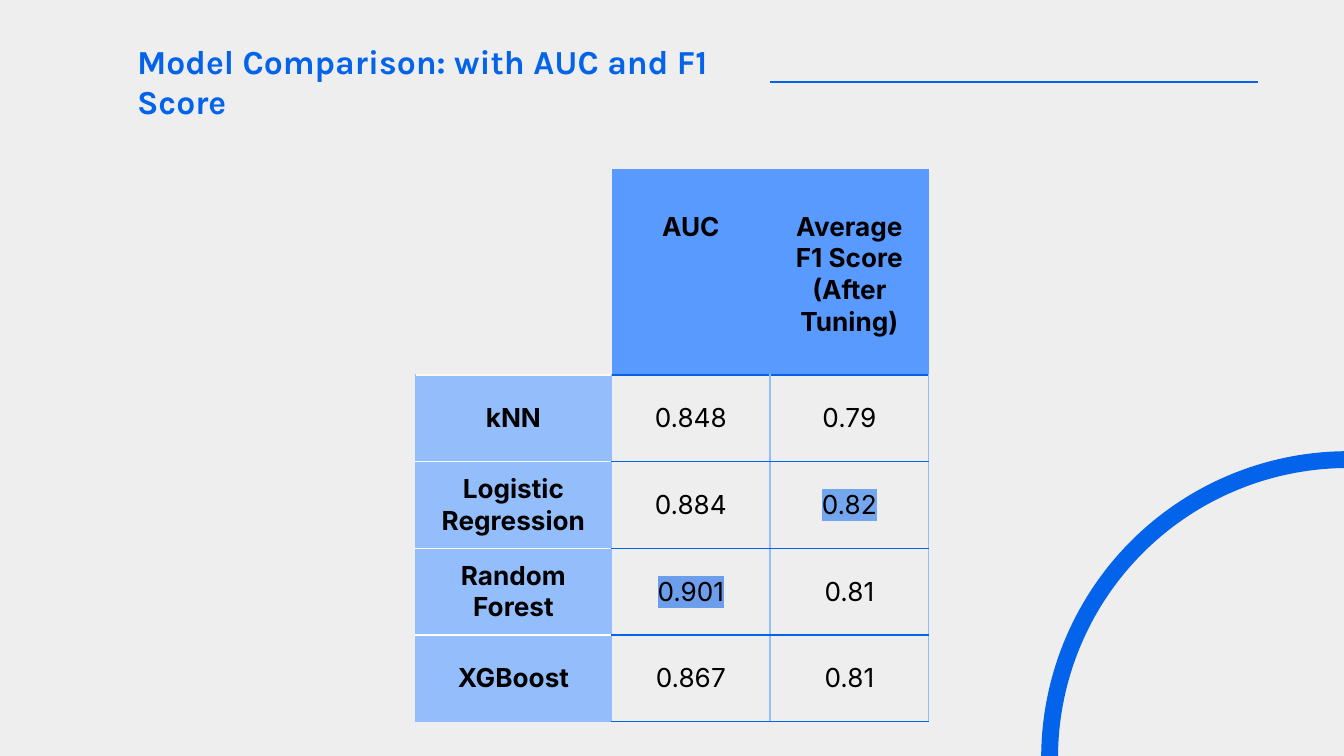
"""Build a slide that compares four models by AUC and F1 score."""
from lxml.etree import SubElement
from pptx import Presentation
from pptx.dml.color import RGBColor
from pptx.enum.shapes import MSO_CONNECTOR as Connector, MSO_SHAPE as Shape
from pptx.enum.text import MSO_ANCHOR as Anchor, MSO_AUTO_SIZE as AutoSize, PP_ALIGN as Align
from pptx.oxml import parse_xml
from pptx.oxml.ns import nsdecls, qn
from pptx.util import Inches, Pt

THEME = {
    "background": "EEEEEE", "accent": "0363EB", "text": "000000",
    "header": "589AFF", "label": "94BDFC", "cream": "FFFAEA", "white": "FFFFFF",
    "title_font": "Karla", "table_font": "Inter",
    "title_size": Pt(18), "table_size": Pt(14),
    "thin": Pt(0.75), "thick": Pt(9),
}
HEADERS = ["", "AUC", "Average F1 Score\n(After Tuning)"]
SCORES = [
    ("kNN", "0.848", "0.79"),
    ("Logistic Regression", "0.884", "0.82"),
    ("Random Forest", "0.901", "0.81"),
    ("XGBoost", "0.867", "0.81"),
]
BEST_SCORES = {"0.82": "74A6ED", "0.901": "6D9EEB"}
LABEL_EDGES = ["cream", "white", "cream", "white", "label"]
NO_STYLE = "{2D5ABB26-0587-4C30-8999-92F81FD0307C}"


def apply_format(target, values):
    """Set each attribute named in values."""
    for name, value in values.items():
        setattr(target, name, value)


def set_borders(cell, borders):
    """Draw the given cell sides, from {side: theme colour}."""
    properties = cell._tc.get_or_add_tcPr()
    sides = [side for side in "LRTB" if side in borders]
    for index, side in enumerate(sides):
        properties.insert(index, parse_xml(
            f'<a:ln{side} {nsdecls("a")} w="{THEME["thin"]}"><a:solidFill>'
            f'<a:srgbClr val="{THEME[borders[side]]}"/></a:solidFill></a:ln{side}>'))


presentation = Presentation()
apply_format(presentation, {"slide_width": Inches(10), "slide_height": Inches(10 * 9 / 16)})
slide = presentation.slides.add_slide(presentation.slide_layouts[5])
slide.background.fill.solid()
slide.background.fill.fore_color.rgb = RGBColor.from_string(THEME["background"])
accent = RGBColor.from_string(THEME["accent"])

arc = slide.shapes.add_shape(Shape.ARC, Inches(7.81), Inches(3.42), Inches(4.44), Inches(4.44))
arc.adjustments[0] = 180 * 0.6
arc.adjustments[1] = 18 * 0.6
arc.shadow.inherit = False
arc.fill.background()
arc.line.color.rgb = accent
arc.line.width = THEME["thick"]

title = slide.shapes.title
apply_format(title, {"left": Inches(0.77), "top": Inches(0.28),
                     "width": Inches(5.42), "height": Inches(0.65)})
title.text_frame.text = "Model Comparison: with AUC and F1 Score"
margins = {f"margin_{side}": Inches(0.25) for side in ("left", "top", "right", "bottom")}
apply_format(title.text_frame, {**margins, "word_wrap": True, "auto_size": AutoSize.NONE,
                                "vertical_anchor": Anchor.MIDDLE})
paragraph = title.text_frame.paragraphs[0]
paragraph.alignment = Align.LEFT
title_font = paragraph.runs[0].font
apply_format(title_font, {"name": THEME["title_font"], "size": THEME["title_size"], "bold": True})
title_font.color.rgb = accent

rule = slide.shapes.add_connector(Connector.STRAIGHT, Inches(5.73), Inches(0.61),
                                  Inches(9.36), Inches(0.61))
rule.line.color.rgb = accent
rule.line.width = THEME["thin"]
SubElement(rule._element.spPr, qn("a:effectLst"))

header_height, body_height = Inches(1.53), Inches(2.58)
frame = slide.shapes.add_table(len(SCORES) + 1, len(HEADERS), Inches(3.09), Inches(1.26),
                               Inches(3.82), header_height + body_height)
table = frame.table
apply_format(table, {"first_row": False, "horz_banding": False})
table._tbl.tblPr.find(qn("a:tableStyleId")).text = NO_STYLE
for column, width in zip(table.columns, (1.46, 1.18, 1.18)):
    column.width = Inches(width)
for row, height in zip(table.rows, [header_height] + [body_height // len(SCORES)] * len(SCORES)):
    row.height = height

for row_index, texts in enumerate([HEADERS, *SCORES]):
    for column_index, text in enumerate(texts):
        cell = table.cell(row_index, column_index)
        is_header, is_label = row_index == 0, column_index == 0
        fill_name = "label" if is_label else "header" if is_header else None
        if is_header:
            borders = {"B": "cream" if is_label else "accent"}
        elif is_label:
            borders = {"L": "label", "R": "label",
                       "T": LABEL_EDGES[row_index - 1], "B": LABEL_EDGES[row_index]}
        else:
            borders = {"L": "label", "R": "label", "T": "accent", "B": "accent"}

        if fill_name and text:
            cell.fill.solid()
            cell.fill.fore_color.rgb = RGBColor.from_string(THEME[fill_name])
        else:
            cell.fill.background()
        set_borders(cell, borders)
        apply_format(cell, {
            "margin_left": Inches(0.1), "margin_right": Inches(0.1),
            "margin_top": Inches(0.31 if is_header else 0.07), "margin_bottom": Inches(0.07),
            "vertical_anchor": Anchor.TOP if is_header else Anchor.MIDDLE})

        cell.text = text
        for paragraph in cell.text_frame.paragraphs:
            paragraph.alignment = Align.CENTER
            for run in paragraph.runs:
                apply_format(run.font, {"name": THEME["table_font"], "size": THEME["table_size"],
                                        "bold": is_header or is_label})
                run.font.color.rgb = RGBColor.from_string(THEME["text"])
                if text in BEST_SCORES:
                    run._r.rPr.find(qn("a:solidFill")).addnext(parse_xml(
                        f'<a:highlight {nsdecls("a")}>'
                        f'<a:srgbClr val="{BEST_SCORES[text]}"/></a:highlight>'))

presentation.save("out.pptx")
